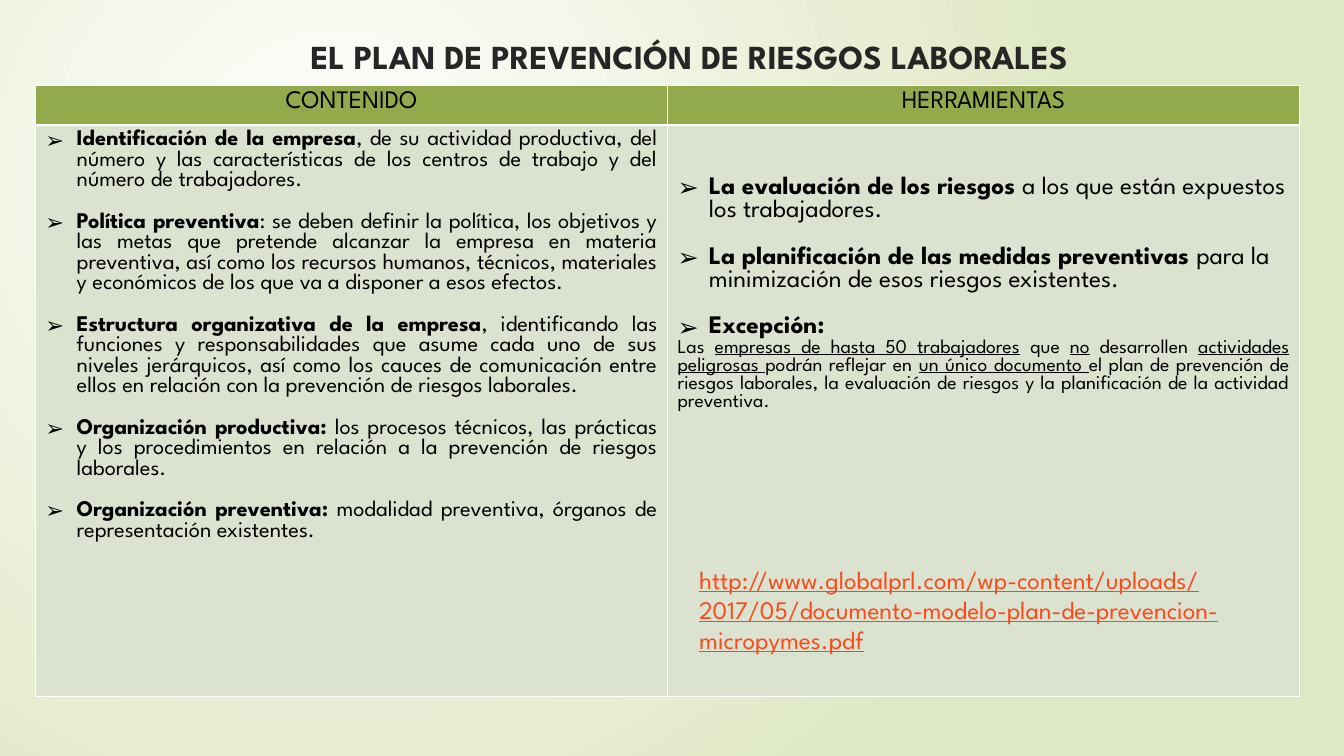
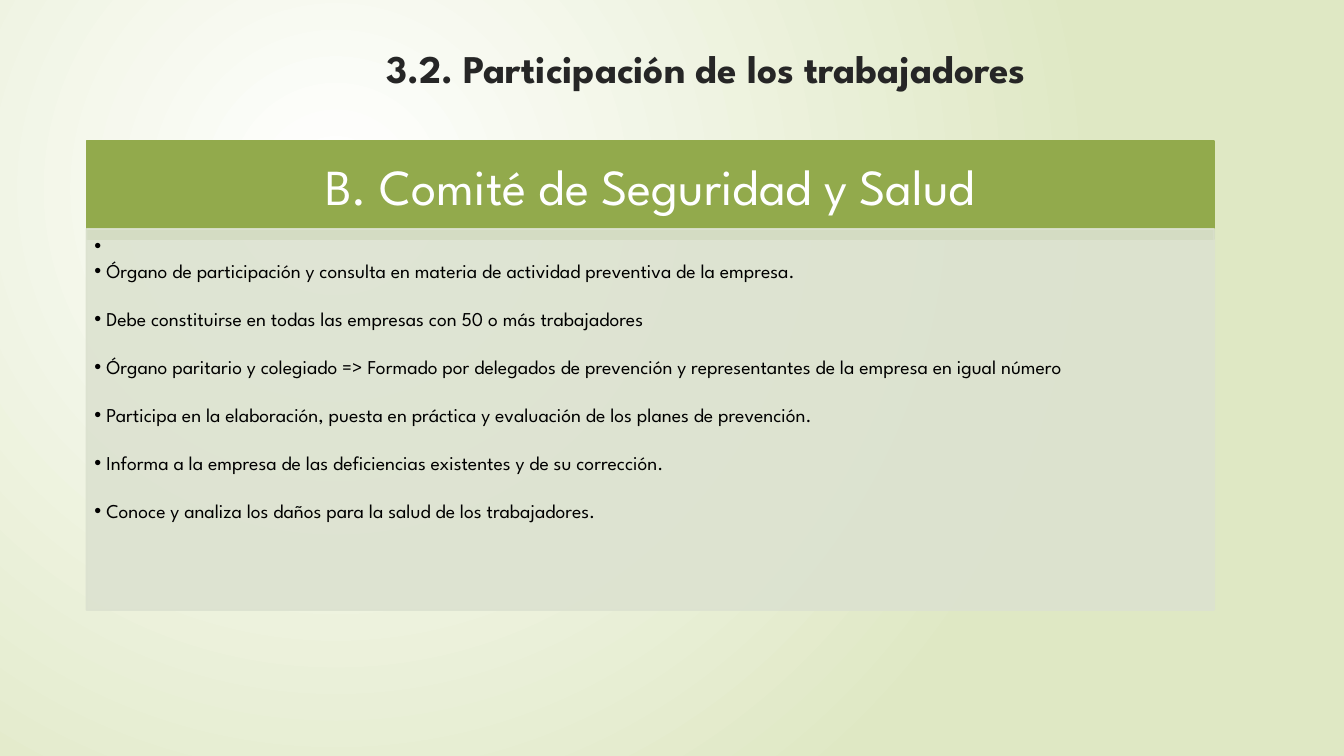
from dataclasses import dataclass

from lxml.etree import SubElement
from pptx import Presentation
from pptx.dml.color import RGBColor
from pptx.enum.shapes import MSO_SHAPE
from pptx.enum.text import MSO_ANCHOR, PP_ALIGN
from pptx.oxml.ns import qn
from pptx.util import Cm, Pt

FONT = "League Spartan"
GREEN, PANEL, PALE = "92AA4C", "DCE2D0", "DFE8C4"
WHITE, BLACK, TITLE, LINK = "FFFFFF", "000000", "262626", "FB4A18"
LINE_RATIO = 0.92


@dataclass(frozen=True)
class Box:
    left: float
    top: float
    width: float
    height: float

    def lengths(self) -> list[Cm]:
        return [Cm(v) for v in (self.left, self.top, self.width, self.height)]


@dataclass(frozen=True)
class Run:
    text: str
    bold: bool = False
    underline: bool = False


@dataclass(frozen=True)
class Para:
    runs: tuple[Run, ...]
    size: float
    color: str = BLACK
    align: PP_ALIGN = PP_ALIGN.LEFT
    bullet: str = ""
    indent: float = 0
    before: float = 0
    line: float = LINE_RATIO


def rgb(value: str) -> RGBColor:
    return RGBColor.from_string(value)


def write(frame, paras: list[Para]) -> None:
    frame.word_wrap = True
    for index, para in enumerate(paras):
        paragraph = frame.paragraphs[0] if index == 0 else frame.add_paragraph()
        if para.bullet:
            properties = paragraph._p.get_or_add_pPr()
            properties.set("marL", str(Cm(para.indent)))
            properties.set("indent", str(-Cm(para.indent)))
            SubElement(properties, qn("a:buFont")).set("typeface", "Arial")
            SubElement(properties, qn("a:buChar")).set("char", para.bullet)
        paragraph.alignment = para.align
        paragraph.line_spacing = Pt(round(para.size * para.line, 1))
        if index and para.before:
            paragraph.space_before = Pt(para.before)
        for part in para.runs:
            run = paragraph.add_run()
            run.text = part.text
            run.font.name = FONT
            run.font.size = Pt(para.size)
            run.font.color.rgb = rgb(para.color)
            run.font.bold = part.bold
            run.font.underline = part.underline


def set_margins(frame, left: float, top: float, right: float, bottom: float) -> None:
    frame.margin_left, frame.margin_top = Cm(left), Cm(top)
    frame.margin_right, frame.margin_bottom = Cm(right), Cm(bottom)


def add_text(slide, box: Box, paras: list[Para]):
    frame = slide.shapes.add_textbox(*box.lengths()).text_frame
    write(frame, paras)
    return frame


def add_title(slide, text: str, box: Box, size: float) -> None:
    title = Para((Run(text, True),), size, TITLE, PP_ALIGN.CENTER)
    frame = add_text(slide, box, [title])
    set_margins(frame, 0.25, 0, 0.25, 0)
    frame.vertical_anchor = MSO_ANCHOR.BOTTOM


def add_panel(slide, box: Box, color: str, opacity: int = 100):
    panel = slide.shapes.add_shape(MSO_SHAPE.RECTANGLE, *box.lengths())
    panel.shadow.inherit = False
    panel.fill.solid()
    panel.fill.fore_color.rgb = rgb(color)
    panel.line.color.rgb = rgb(color)
    panel.line.width = Pt(1.25)
    if opacity < 100:
        for shade in panel._element.spPr.iter(qn("a:srgbClr")):
            SubElement(shade, qn("a:alpha")).set("val", str(opacity * 1000))
    return panel.text_frame


def style_cell(cell, color: str) -> None:
    properties = cell._tc.get_or_add_tcPr()
    for side in ("lnL", "lnR", "lnT", "lnB"):
        border = SubElement(properties, qn(f"a:{side}"))
        border.set("w", str(Pt(1)))
        SubElement(SubElement(border, qn("a:solidFill")), qn("a:srgbClr")).set("val", WHITE)
    cell.fill.solid()
    cell.fill.fore_color.rgb = rgb(color)


def set_background(master) -> None:
    fill = master.background.fill
    fill.gradient()
    for stop, color in zip(fill.gradient_stops, (WHITE, PALE)):
        stop.color.rgb = rgb(color)
    gradient = master._element.find(".//" + qn("p:bgPr")).find(qn("a:gradFill"))
    gradient.remove(gradient.find(qn("a:lin")))
    circle = SubElement(gradient, qn("a:path"))
    circle.set("path", "circle")
    focus = SubElement(circle, qn("a:fillToRect"))
    for side, share in zip("ltrb", (50, 50, 100, 100)):
        focus.set(side, str(share * 1000))


def arrow_item(lead: str, rest: str, size: float, align: PP_ALIGN) -> Para:
    runs = (Run(lead, True), Run(rest)) if rest else (Run(lead, True),)
    return Para(runs, size, align=align, bullet="➢", indent=0.79,
                before=round(size * LINE_RATIO, 1))


CONTENTS = [
    ("Identificación de la empresa",
     ", de su actividad productiva, del número y las características de los centros "
     "de trabajo y del número de trabajadores."),
    ("Política preventiva",
     ": se deben definir la política, los objetivos y las metas que pretende alcanzar "
     "la empresa en materia preventiva, así como los recursos humanos, técnicos, "
     "materiales y económicos de los que va a disponer a esos efectos."),
    ("Estructura organizativa de la empresa",
     ", identificando las funciones y responsabilidades que asume cada uno de sus "
     "niveles jerárquicos, así como los cauces de comunicación entre ellos en relación "
     "con la prevención de riesgos laborales."),
    ("Organización productiva:",
     " los procesos técnicos, las prácticas y los procedimientos en relación a la "
     "prevención de riesgos laborales."),
    ("Organización preventiva:",
     " modalidad preventiva, órganos de representación existentes."),
]
TOOLS = [
    ("La evaluación de los riesgos ", "a los que están expuestos los trabajadores."),
    ("La planificación de las medidas preventivas ",
     "para la minimización de esos riesgos existentes."),
    ("Excepción:", ""),
]
EXCEPTION = (
    Run("Las "),
    Run("empresas de hasta 50 trabajadores", underline=True),
    Run(" que "),
    Run("no", underline=True),
    Run(" desarrollen "),
    Run("actividades peligrosas ", underline=True),
    Run("podrán reflejar en "),
    Run("un único documento ", underline=True),
    Run("el plan de prevención de riesgos laborales, la evaluación de riesgos y la "
        "planificación de la actividad preventiva."),
)
TEMPLATE_URL = ("http://www.globalprl.com/wp-content/uploads/2017/05/"
                "documento-modelo-plan-de-prevencion-micropymes.pdf")
COMMITTEE = [
    "Órgano de participación y consulta en materia de actividad preventiva de la empresa.",
    "Debe constituirse en todas las empresas con 50 o más trabajadores",
    "Órgano paritario y colegiado => Formado por delegados de prevención y "
    "representantes de la empresa en igual número",
    "Participa en la elaboración, puesta en práctica y evaluación de los planes de prevención.",
    "Informa a la empresa de las deficiencias existentes y de su corrección.",
    "Conoce y analiza los daños para la salud de los trabajadores.",
]


def build_plan(slide) -> None:
    add_title(slide, "EL PLAN DE PREVENCIÓN DE RIESGOS LABORALES",
              Box(2.97, 0.89, 28.8, 1.02), 24)
    plan = slide.shapes.add_table(2, 2, *Box(0.89, 2.16, 31.86, 15.39).lengths()).table
    plan.rows[0].height, plan.rows[1].height = Cm(0.99), Cm(14.4)
    contents = [arrow_item(*item, 16, PP_ALIGN.JUSTIFY) for item in CONTENTS]
    tools = [arrow_item(*item, 18, PP_ALIGN.LEFT) for item in TOOLS]
    tools.append(Para(EXCEPTION, 14, align=PP_ALIGN.JUSTIFY))
    columns = [("CONTENIDO", contents), ("HERRAMIENTAS", tools)]
    for column, (heading, paras) in enumerate(columns):
        head, body = plan.cell(0, column), plan.cell(1, column)
        style_cell(head, GREEN)
        style_cell(body, PANEL)
        write(head.text_frame, [Para((Run(heading),), 18, align=PP_ALIGN.CENTER)])
        write(body.text_frame, paras)
    plan.cell(1, 1).margin_top = Cm(1.3)
    add_text(slide, Box(17.37, 14.1, 14.78, 2.57),
             [Para((Run(TEMPLATE_URL, underline=True),), 18, LINK, line=1.19)])


def build_committee(slide) -> None:
    add_title(slide, "3.2. Participación de los trabajadores",
              Box(5.66, 0.91, 24.26, 1.4), 28)
    heading = add_panel(slide, Box(2.18, 3.56, 28.42, 2.46), GREEN)
    set_margins(heading, 0.71, 0.41, 0.71, 0.41)
    heading.vertical_anchor = MSO_ANCHOR.MIDDLE
    write(heading, [Para((Run("B. Comité de Seguridad y Salud"),), 36, WHITE,
                         PP_ALIGN.CENTER, line=1)])
    duties = add_panel(slide, Box(2.18, 5.77, 28.42, 9.6), PANEL, 90)
    set_margins(duties, 0.2, 0.2, 0.28, 0.3)
    duties.vertical_anchor = MSO_ANCHOR.TOP
    write(duties, [
        Para((Run(text),), 14, bullet="•", indent=0.3, line=1.07,
             before=2.2 if index < 2 else 19.4)
        for index, text in enumerate([" ", *COMMITTEE])
    ])


def main() -> None:
    deck = Presentation()
    deck.slide_width, deck.slide_height = Cm(33.87), Cm(19.05)
    set_background(deck.slide_master)
    for build in (build_plan, build_committee):
        build(deck.slides.add_slide(deck.slide_layouts[6]))
    deck.save("out.pptx")


if __name__ == "__main__":
    main()
